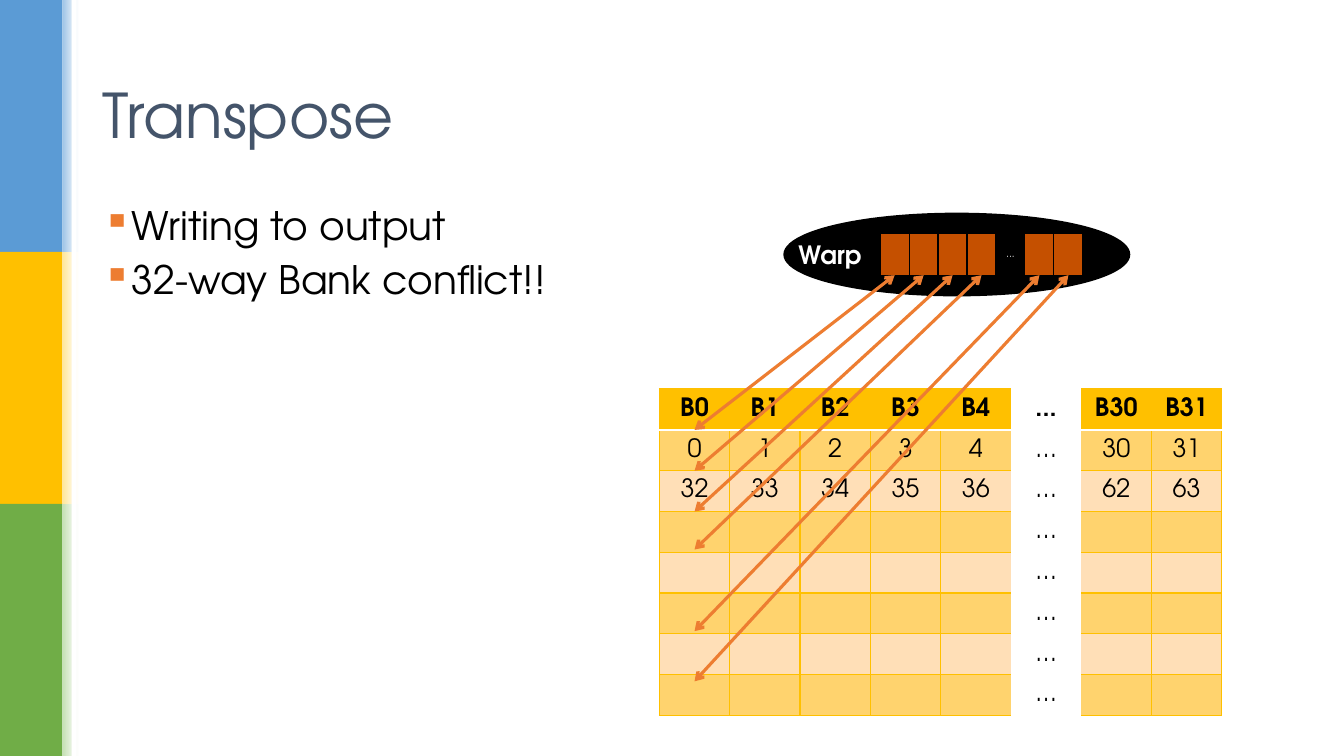
from lxml import etree
from pptx import Presentation
from pptx.dml.color import RGBColor
from pptx.enum.shapes import MSO_CONNECTOR, MSO_SHAPE
from pptx.enum.text import MSO_ANCHOR, PP_ALIGN
from pptx.oxml.ns import qn
from pptx.util import Inches, Pt

RECTANGLE, ELLIPSE = MSO_SHAPE.RECTANGLE, MSO_SHAPE.OVAL
STRAIGHT = MSO_CONNECTOR.STRAIGHT
CENTER, LEFT = PP_ALIGN.CENTER, PP_ALIGN.LEFT
MIDDLE = MSO_ANCHOR.MIDDLE

THEME = {
    "font": "TeX Gyre Adventor",
    "title_size": 44, "body_size": 28, "label_size": 18, "tiny_size": 7,
    "title": "44546A", "accent": "ED7D31", "black": "000000", "white": "FFFFFF",
    "gold": "FFC000", "dark_band": "FFD36E", "light_band": "FFDFB7", "thread": "C55000",
    "stripes": [("5B9BD5", "9DC3E6"), ("FFC000", "FFE699"), ("70AD47", "C5E0B4")],
}


def write(frame, lines, size, color, bold=False, align=LEFT):
    frame.text = "\n".join(lines)
    for para in frame.paragraphs:
        para.alignment = align
        para.font.size = Pt(size)
        for span in para.runs:
            span.font.name = THEME["font"]
            span.font.size = Pt(size)
            span.font.bold = bold
            span.font.color.rgb = RGBColor.from_string(color)


def paint_cell(cell, fill, borders):
    properties = cell._tc.get_or_add_tcPr()
    for side, (color, width) in zip("LRTB", borders):
        line = etree.SubElement(properties, qn(f"a:ln{side}"), w=str(Pt(width)))
        if color:
            solid = etree.SubElement(line, qn("a:solidFill"))
            etree.SubElement(solid, qn("a:srgbClr"), val=color)
        else:
            etree.SubElement(line, qn("a:noFill"))
    cell.fill.solid()
    cell.fill.fore_color.rgb = RGBColor.from_string(fill)
    cell.vertical_anchor = MIDDLE


deck = Presentation()
deck.slide_width, deck.slide_height = Inches(13.33), Inches(7.5)
page = deck.slides.add_slide(deck.slide_layouts[6])

stripe_height = deck.slide_height // 3
stripe_width, fade_width = Inches(0.62), Inches(0.16)
for index, (strong, pale) in enumerate(THEME["stripes"]):
    top = index * stripe_height
    stripe = page.shapes.add_shape(RECTANGLE, 0, top, stripe_width, stripe_height)
    stripe.fill.solid()
    stripe.fill.fore_color.rgb = RGBColor.from_string(strong)
    fade = page.shapes.add_shape(RECTANGLE, stripe_width, top, fade_width, stripe_height)
    fade.fill.gradient()
    fade.fill.gradient_angle = 0
    for stop, color in zip(fade.fill.gradient_stops, (pale, THEME["white"])):
        stop.color.rgb = RGBColor.from_string(color)
    for shape in (stripe, fade):
        shape.line.fill.background()
        shape.shadow.inherit = False

edge = page.shapes.add_shape(RECTANGLE, Inches(0.71), 0, Inches(0.05), deck.slide_height)
edge.fill.solid()
edge.fill.fore_color.rgb = RGBColor.from_string(THEME["white"])
edge.line.fill.background()
edge.shadow.inherit = False

text_left, text_width = Inches(0.92), Inches(11.5)
title = page.shapes.add_textbox(text_left, Inches(0.4), text_width, Inches(1.45)).text_frame
title.word_wrap = True
title.vertical_anchor = MIDDLE
write(title, ["Transpose"], THEME["title_size"], THEME["title"])

body = page.shapes.add_textbox(text_left, Inches(2), text_width, Inches(4.76)).text_frame
body.word_wrap = True
body.text = "Writing to output\n32-way Bank conflict!!"
for index, para in enumerate(body.paragraphs):
    properties = para._p.get_or_add_pPr()
    properties.set("marL", str(Inches(0.25)))
    properties.set("indent", str(-Inches(0.25)))
    bullet_color = etree.SubElement(properties, qn("a:buClr"))
    etree.SubElement(bullet_color, qn("a:srgbClr"), val=THEME["accent"])
    etree.SubElement(properties, qn("a:buChar"), char="▪")
    para.line_spacing = 0.9
    para.space_before = Pt(8.4 if index else 0)
    para.font.size = Pt(THEME["body_size"])
    for span in para.runs:
        span.font.name = THEME["font"]
        span.font.size = Pt(THEME["body_size"])
        span.font.color.rgb = RGBColor.from_string(THEME["black"])

warp = page.shapes.add_shape(ELLIPSE, Inches(7.78), Inches(2.12), Inches(3.42), Inches(0.81))
warp.fill.solid()
warp.fill.fore_color.rgb = RGBColor.from_string(THEME["black"])
warp.line.color.rgb = RGBColor.from_string(THEME["black"])
warp.line.width = Pt(1.5)
warp.shadow.inherit = False
label = page.shapes.add_textbox(Inches(7.82), Inches(2.27), Inches(0.87), Inches(0.5)).text_frame
label.margin_top = label.margin_bottom = Inches(0.1)
write(label, ["Warp"], THEME["label_size"], THEME["white"], True)

bank_rows = [
    ["B0", "B1", "B2", "B3", "B4", "...", "B30", "B31"],
    ["0", "1", "2", "3", "4", "…", "30", "31"],
    ["32", "33", "34", "35", "36", "…", "62", "63"],
] + [[""] * 5 + ["…", "", ""]] * 5
gap_column = 5
bank_left, bank_top = Inches(6.54), Inches(3.86)
bank_width, bank_height = Inches(5.58), Inches(3.24)
column_width, row_height = bank_width // 8, bank_height // 8
banks = page.shapes.add_table(8, 8, bank_left, bank_top, bank_width, bank_height).table
banks.first_row = banks.horz_banding = False
none, gold, divider = (None, 0), (THEME["gold"], 1), (THEME["white"], 1.5)
for row, values in enumerate(bank_rows):
    banks.rows[row].height = row_height
    band = THEME["dark_band"] if row % 2 else THEME["light_band"]
    for column, value in enumerate(values):
        cell = banks.cell(row, column)
        write(cell.text_frame, [value], THEME["label_size"], THEME["black"], row == 0, CENTER)
        if column == gap_column:
            paint_cell(cell, THEME["white"], [none] * 4)
        else:
            paint_cell(cell, band if row else THEME["gold"], [
                none if column == gap_column + 1 else gold,
                none if column == gap_column - 1 else gold,
                divider if row == 1 else gold,
                divider if row == 0 else gold,
            ])

thread_left, thread_top = Inches(8.73), Inches(2.32)
threads_width, thread_height = Inches(2.01), Inches(0.41)
thread_width = threads_width // 7
threads = page.shapes.add_table(1, 7, thread_left, thread_top, threads_width, thread_height).table
threads.first_row = threads.horz_banding = False
for column in range(7):
    cell = threads.cell(0, column)
    skipped = column == 4
    if skipped:
        write(cell.text_frame, ["..."], THEME["tiny_size"], THEME["white"], align=CENTER)
    paint_cell(cell, THEME["black" if skipped else "thread"], [(THEME["black"], 1)] * 4)

for thread, bank_row in [(0, 1), (1, 2), (2, 3), (3, 3.93), (5, 5.93), (6, 7.16)]:
    arrow = page.shapes.add_connector(
        STRAIGHT,
        thread_left + int((thread + 0.5) * thread_width), thread_top + thread_height,
        bank_left + column_width // 2, bank_top + int(bank_row * row_height))
    arrow.line.color.rgb = RGBColor.from_string(THEME["accent"])
    arrow.line.width = Pt(2.25)
    for end in ("headEnd", "tailEnd"):
        etree.SubElement(arrow.line._get_or_add_ln(), qn(f"a:{end}"), type="arrow")
    etree.SubElement(arrow._element.spPr, qn("a:effectLst"))

deck.save("out.pptx")
